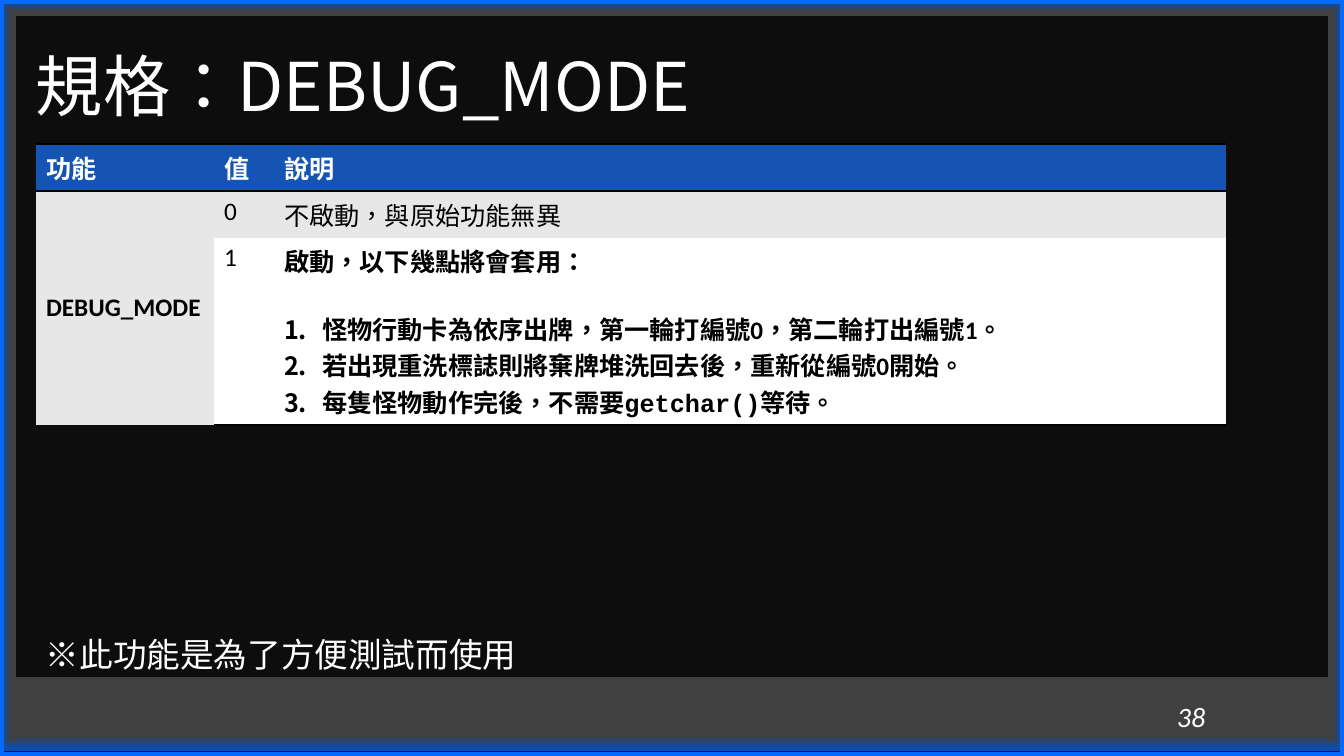
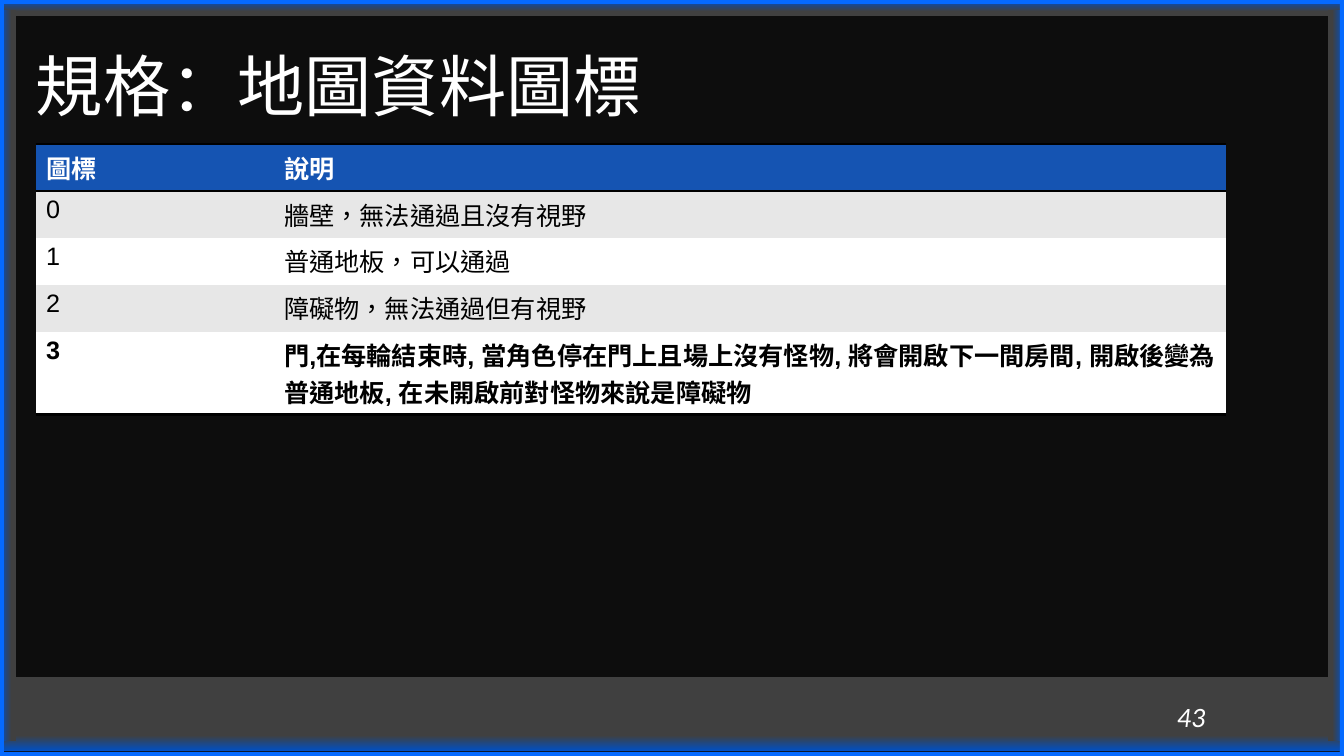
from lxml.etree import SubElement
from pptx import Presentation
from pptx.dml.color import RGBColor
from pptx.enum.lang import MSO_LANGUAGE_ID
from pptx.enum.shapes import MSO_SHAPE
from pptx.enum.text import MSO_ANCHOR, MSO_AUTO_SIZE, PP_ALIGN
from pptx.oxml.ns import qn
from pptx.util import Emu, Pt

EMU_PER_INCH = 914400
PX_PER_INCH = 100.8
WIDTH, HEIGHT = 1344, 756
LEFT, CONTENT_WIDTH = 36, 1250
TABLE_TOP = 144
CJK_FONT = "Noto Sans CJK SC"
NO_STYLE = "{2D5ABB26-0587-4C30-8999-92F81FD0307C}"
COLORS = {
    "background": "0D0D0D",
    "glow": "004FC3",
    "band": "404040",
    "frame": "056AFF",
    "header": "1554B2",
    "stripe": "E7E7E7",
    "white": "FFFFFF",
    "black": "000000",
}
# left, top, width, height, gradient direction (counter-clockwise), end of glow
BANDS = [
    (0, 677, WIDTH, 74, 90, 0.21),
    (0, 0, WIDTH, 16, 270, 0.72),
    (0, 10, 16, 731, 0, 0.72),
    (1328, 10, 16, 731, 180, 0.72),
]


def px(length):
    return Emu(round(length * EMU_PER_INCH / PX_PER_INCH))


def rgb(name):
    return RGBColor.from_string(COLORS[name])


def write(para, text, size=18, color="black", font="Calibri", bold=False,
          italic=False, language=MSO_LANGUAGE_ID.TRADITIONAL_CHINESE):
    """Append one formatted run to a paragraph."""
    span = para.add_run()
    span.text = text
    span.font.size = Pt(size)
    span.font.bold = bold
    span.font.italic = italic
    span.font.color.rgb = rgb(color)
    span.font.name = font
    if language:
        span.font.language_id = language
    SubElement(span.font._element, qn("a:ea"), typeface=CJK_FONT)


def add_text(page, left, top, width, height, text, **style):
    box = page.shapes.add_textbox(px(left), px(top), px(width), px(height))
    box.text_frame.word_wrap = True
    box.text_frame.vertical_anchor = MSO_ANCHOR.MIDDLE
    write(box.text_frame.paragraphs[0], text, **style)


def add_block(page, preset, left, top, width, height):
    block = page.shapes.add_shape(preset, px(left), px(top), px(width), px(height))
    block.shadow.inherit = False
    block.line.fill.background()
    return block


def decorate_layout(layout, page):
    """Build the bands and outer frame on a page, then hand them to its layout."""
    blocks = []
    for left, top, width, height, angle, glow_end in BANDS:
        band = add_block(page, MSO_SHAPE.RECTANGLE, left, top, width, height)
        band.fill.gradient()
        band.fill.gradient_angle = angle
        stops = zip(band.fill.gradient_stops, ("glow", "band"), (0, glow_end))
        for stop, color, position in stops:
            stop.color.rgb = rgb(color)
            stop.position = position
        blocks.append(band)
    frame = add_block(page, MSO_SHAPE.FRAME, 0, 0, WIDTH, HEIGHT)
    frame.adjustments[0] = 4 / HEIGHT
    frame.fill.solid()
    frame.fill.fore_color.rgb = rgb("frame")
    blocks.append(frame)
    for block in blocks:
        layout.element.cSld.spTree.append(block.element)


def set_title(page, text, **style):
    title = page.shapes.title
    title.left, title.top = px(LEFT), px(35)
    title.width, title.height = px(CONTENT_WIDTH), px(109)
    body = title.text_frame
    body.margin_left = body.margin_right = body.margin_top = body.margin_bottom = 0
    body.vertical_anchor = MSO_ANCHOR.MIDDLE
    body.auto_size = MSO_AUTO_SIZE.NONE
    body.word_wrap = True
    para = body.paragraphs[0]
    para.alignment = PP_ALIGN.LEFT
    para.line_spacing = 0.9
    write(para, text, size=48, color="white", font=CJK_FONT, **style)


def add_page_number(page, number):
    add_text(page, 1167, 693, 100, 46, number, size=20, color="white", italic=True)


def add_rule(cell, side):
    """Draw a black border on the top (lnT) or bottom (lnB) of a cell."""
    line = SubElement(cell._tc.get_or_add_tcPr(), qn(f"a:{side}"), w=str(Pt(2)))
    fill = SubElement(line, qn("a:solidFill"))
    SubElement(fill, qn("a:srgbClr"), val=COLORS["black"])


def add_grid(page, widths, heights, rows, font, bold_cells):
    """Add a striped table with rules round its header and below its last row."""
    holder = page.shapes.add_table(len(rows), len(widths), px(LEFT), px(TABLE_TOP),
                                   px(sum(widths)), px(sum(heights)))
    table = holder.table
    table.first_row = table.horz_banding = False
    next(holder.element.iter(qn("a:tableStyleId"))).text = NO_STYLE
    for column, width in zip(table.columns, widths):
        column.width = px(width)
    for r, (texts, height) in enumerate(zip(rows, heights)):
        table.rows[r].height = px(height)
        is_header = r == 0
        background = "header" if is_header else "stripe" if r % 2 else "white"
        for c, text in enumerate(texts):
            cell = table.cell(r, c)
            if is_header:
                add_rule(cell, "lnT")
            if is_header or r == len(rows) - 1:
                add_rule(cell, "lnB")
            cell.fill.solid()
            cell.fill.fore_color.rgb = rgb(background)
            if text:
                write(cell.text_frame.paragraphs[0], text, font=font,
                      color="white" if is_header else "black",
                      bold=is_header or (r, c) in bold_cells)
    return table


def add_numbered(body, pieces, space_before=0):
    """Add a numbered paragraph made of (text, font) pieces."""
    para = body.add_paragraph()
    properties = para._p.get_or_add_pPr()
    properties.set("marL", str(px(38)))
    properties.set("indent", str(-px(38)))
    SubElement(properties, qn("a:buFont"), typeface="+mj-lt")
    SubElement(properties, qn("a:buAutoNum"), type="arabicPeriod")
    para.space_before = Pt(space_before)
    for text, font in pieces:
        write(para, text, font=font, bold=True)


def build_debug_page(page):
    set_title(page, "規格：DEBUG_MODE")
    table = add_grid(
        page, [178, 60, 952], [47, 46, 186],
        [["功能", "值", "說明"],
         ["DEBUG_MODE", "0", "不啟動，與原始功能無異"],
         ["", "1", "啟動，以下幾點將會套用："]],
        font="Calibri", bold_cells={(1, 0), (2, 2)})
    mode = table.cell(1, 0)
    mode.merge(table.cell(2, 0))
    mode.vertical_anchor = MSO_ANCHOR.MIDDLE
    effects = [
        [("怪物行動卡為依序出牌，第一輪打編號0，第二輪打出編號1。", "Calibri")],
        [("若出現重洗標誌則將棄牌堆洗回去後，重新從編號0開始。", "Calibri")],
        [("每隻怪物動作完後，不需要", "Calibri"), ("getchar()", "Courier New"),
         ("等待。", "Calibri")],
    ]
    for index, pieces in enumerate(effects):
        add_numbered(table.cell(2, 2).text_frame, pieces, 0 if index else 22)
    add_text(page, LEFT, 629, CONTENT_WIDTH, 50, "※此功能是為了方便測試而使用",
             size=24, color="white")
    add_page_number(page, "38")


def build_map_page(page):
    set_title(page, "規格：地圖資料圖標", language=None)
    add_grid(
        page, [238, 952], [47, 46, 47, 47, 81],
        [["圖標", "說明"],
         ["0", "牆壁，無法通過且沒有視野"],
         ["1", "普通地板，可以通過"],
         ["2", "障礙物，無法通過但有視野"],
         ["3", "門,在每輪結束時, 當角色停在門上且場上沒有怪物, 將會開啟下一間房間, "
               "開啟後變為普通地板, 在未開啟前對怪物來說是障礙物"]],
        font="Arial", bold_cells={(4, 0), (4, 1)})
    add_page_number(page, "43")


def main():
    deck = Presentation()
    deck.slide_width, deck.slide_height = px(WIDTH), px(HEIGHT)
    background = deck.slide_master.background.fill
    background.solid()
    background.fore_color.rgb = rgb("background")
    layout = deck.slide_layouts.get_by_name("Title Only")
    debug_page, map_page = (deck.slides.add_slide(layout) for _ in range(2))
    decorate_layout(layout, debug_page)
    build_debug_page(debug_page)
    build_map_page(map_page)
    deck.save("out.pptx")


if __name__ == "__main__":
    main()
